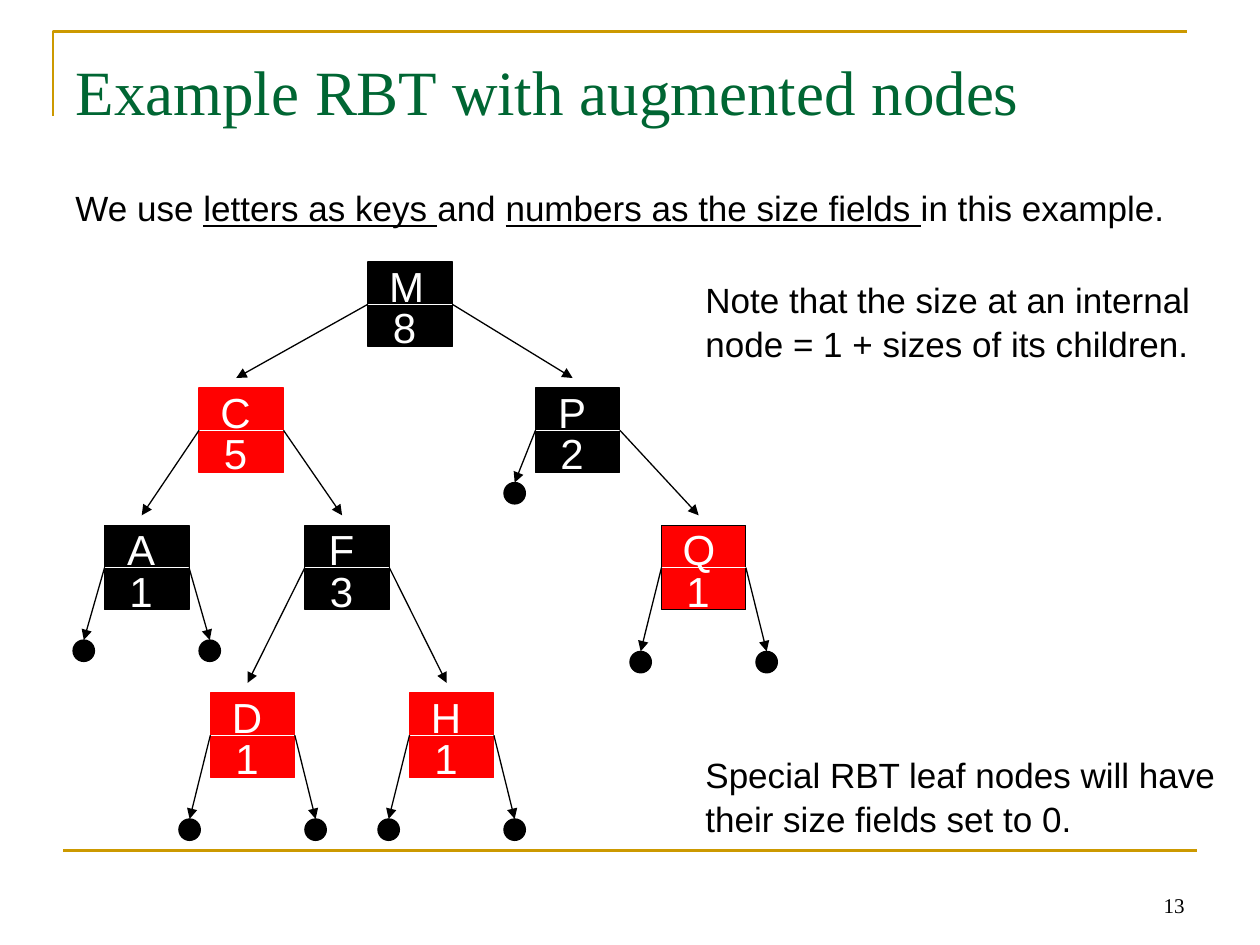
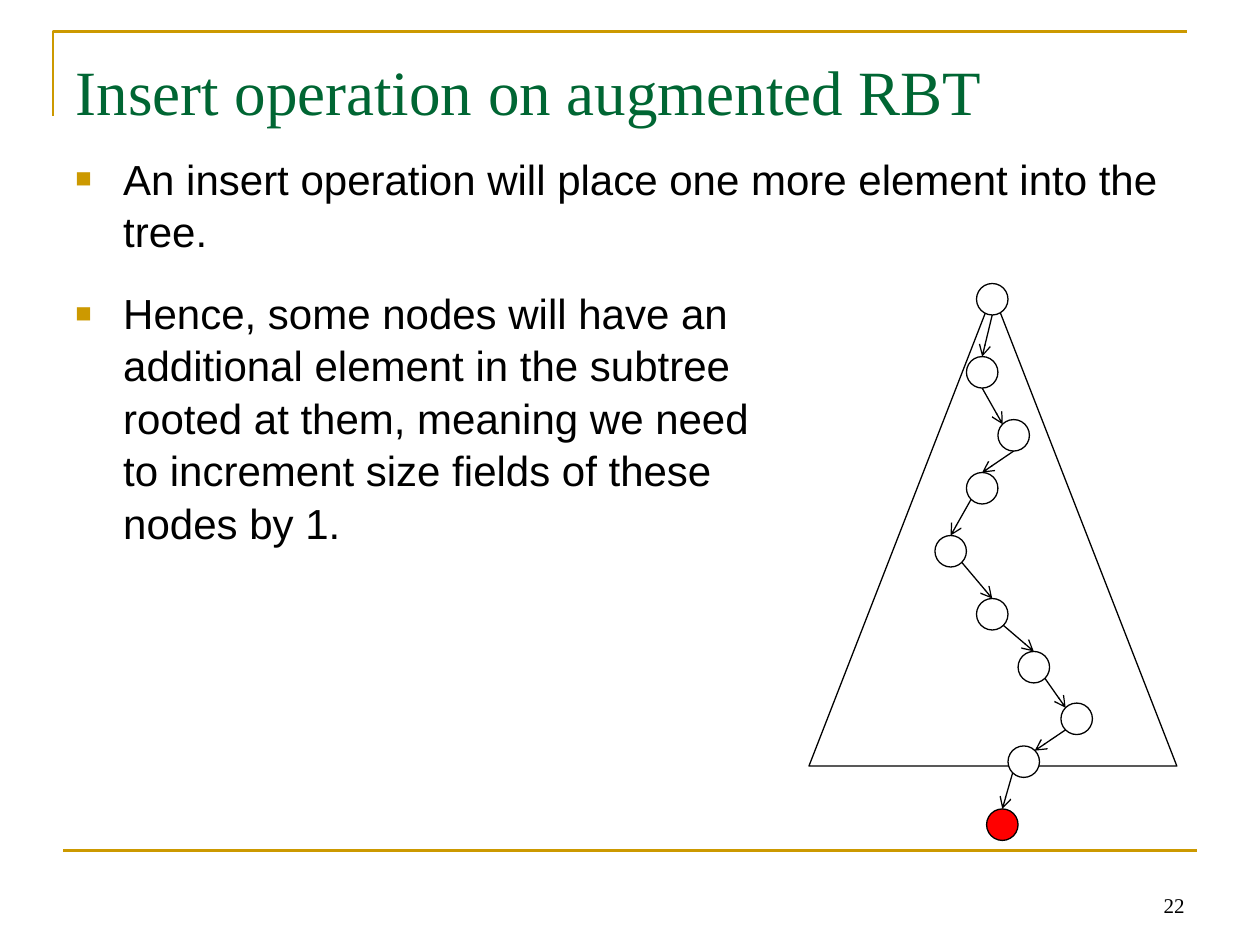
from dataclasses import dataclass
from itertools import pairwise

from lxml.etree import SubElement
from pptx import Presentation
from pptx.dml.color import RGBColor
from pptx.enum.shapes import MSO_CONNECTOR, MSO_SHAPE
from pptx.enum.text import MSO_ANCHOR, PP_ALIGN
from pptx.oxml.ns import qn
from pptx.util import Inches, Pt

GOLD, GREEN, BLACK, WHITE = "CC9900", "006633", "000000", "FFFFFF"
NODE_RED, NEW_RED = "FF0101", "FF0000"
BODY_FONT, TITLE_FONT = "Arial", "Times New Roman"
NODE_SIDE, LEAF_SIDE, STEP_SIDE = 0.67, 0.17, 0.25
LABEL_SHIFT = 0.04


@dataclass
class TreeNode:
    """A tree node with its size field and the keys of its children."""

    key: str
    size: int
    left: float
    top: float
    color: str
    children: tuple = (None, None)
    leaf_drop: float = 1
    border: str = ""

    @property
    def middle(self):
        """Return the height of the line between key and size."""
        return self.top + NODE_SIDE / 2

    @property
    def entry(self):
        """Return the point where the arrow from the parent ends."""
        return self.left + NODE_SIDE / 2 - LABEL_SHIFT, self.top - 0.08


TREE = [
    TreeNode("M", 8, 2.92, 2.08, BLACK, ("C", "P")),
    TreeNode("C", 5, 1.58, 3.08, NODE_RED, ("A", "F")),
    TreeNode("P", 2, 4.25, 3.08, BLACK, (None, "Q"), leaf_drop=0.75),
    TreeNode("A", 1, 0.83, 4.17, BLACK, leaf_drop=0.91),
    TreeNode("F", 3, 2.42, 4.17, BLACK, ("D", "H")),
    TreeNode("Q", 1, 5.25, 4.17, NODE_RED, border=BLACK),
    TreeNode("D", 1, 1.67, 5.5, NODE_RED),
    TreeNode("H", 1, 3.25, 5.5, NODE_RED),
]

STEPS = [
    (7.75, 2.25), (7.67, 2.83), (7.92, 3.33), (7.67, 3.75), (7.42, 4.25),
    (7.75, 4.75), (8.08, 5.17), (8.42, 5.58), (8, 5.92), (7.83, 6.42),
]
STEP_EDGES = [
    ("S", "N"), ("S", "NW"), ("S", "N"), ("SW", "N"), ("SE", "N"),
    ("SE", "N"), ("SE", "NW"), ("SW", "NE"), ("SW", "N"),
]
RIM = {"N": (0, -1), "S": (0, 1), "NW": (-0.7, -0.7), "NE": (0.7, -0.7),
       "SW": (-0.7, 0.7), "SE": (0.7, 0.7)}


def rgb(color):
    """Turn a hex string into a colour."""
    return RGBColor.from_string(color)


def add_bullet(paragraph):
    """Give a paragraph a gold square bullet with a hanging indent."""
    properties = paragraph._p.get_or_add_pPr()
    properties.set("marL", str(Inches(0.38)))
    properties.set("indent", str(Inches(-0.38)))
    bullet_color = SubElement(properties, qn("a:buClr"))
    SubElement(bullet_color, qn("a:srgbClr"), val=GOLD)
    SubElement(properties, qn("a:buSzPct"), val="65000")
    SubElement(properties, qn("a:buFont"), typeface=BODY_FONT)
    SubElement(properties, qn("a:buChar"), char="■")


def write_text(frame, *paragraphs, size=20, font=BODY_FONT, color=BLACK,
               align=PP_ALIGN.LEFT, anchor=MSO_ANCHOR.TOP, wrap=True,
               bullets=False, gap=0):
    """Fill a text frame; a paragraph is a string or (text, underlined) runs."""
    frame.word_wrap = wrap
    frame.vertical_anchor = anchor
    for index, content in enumerate(paragraphs):
        paragraph = frame.add_paragraph() if index else frame.paragraphs[0]
        paragraph.alignment = align
        paragraph.line_spacing = 1.04
        paragraph.space_before = Pt(gap if index else 0)
        if bullets:
            add_bullet(paragraph)
        paragraph.font.size = Pt(size)
        paragraph.font.name = font
        paragraph.font.color.rgb = rgb(color)
        if isinstance(content, str):
            paragraph.text = content
        else:
            for text, underlined in content:
                run = paragraph.add_run()
                run.text = text
                run.font.underline = underlined
        for run in paragraph.runs:
            run.font.size = Pt(size)
            run.font.name = font
            run.font.color.rgb = rgb(color)


def add_text(slide, left, top, width, height, *paragraphs, **text_format):
    """Add a text box with formatted paragraphs."""
    box = slide.shapes.add_textbox(
        Inches(left), Inches(top), Inches(width), Inches(height))
    write_text(box.text_frame, *paragraphs, **text_format)


def add_line(slide, start, end, color=BLACK, width=0.75, arrow=None):
    """Draw a straight line, with an arrowhead at its end if asked."""
    line = slide.shapes.add_connector(
        MSO_CONNECTOR.STRAIGHT, *(Inches(value) for value in (*start, *end)))
    line.line.color.rgb = rgb(color)
    line.line.width = Pt(width)
    if arrow:
        SubElement(line.line._get_or_add_ln(), qn("a:tailEnd"), type=arrow)
    SubElement(line._element.spPr, qn("a:effectLst"))


def style_outline(shape, fill, border, width=0.75):
    """Set fill and outline of a shape and take its shadow away."""
    shape.shadow.inherit = False
    if fill:
        shape.fill.solid()
        shape.fill.fore_color.rgb = rgb(fill)
    else:
        shape.fill.background()
    shape.line.color.rgb = rgb(border)
    shape.line.width = Pt(width)


def add_figure(slide, kind, left, top, width, height, fill=None, border=BLACK):
    """Add a preset shape."""
    figure = slide.shapes.add_shape(
        kind, Inches(left), Inches(top), Inches(width), Inches(height))
    style_outline(figure, fill, border)


def start_slide(deck, title, number):
    """Add a slide with the shared gold rules, title and page number."""
    slide = deck.slides.add_slide(deck.slide_layouts[5])
    builder = slide.shapes.build_freeform(Inches(0.42), Inches(0.92))
    corner = [(Inches(0.42), Inches(0.25)), (Inches(9.42), Inches(0.25))]
    builder.add_line_segments(corner, close=False)
    style_outline(builder.convert_to_shape(), None, GOLD, 1.5)
    add_line(slide, (0.5, 6.75), (9.5, 6.75), GOLD, 1.5)

    heading = slide.shapes.title
    heading.left, heading.top = Inches(0.5), Inches(0.3)
    heading.width, heading.height = Inches(9), Inches(1.25)
    heading.text_frame.margin_top = Inches(0.09)
    write_text(heading.text_frame, title, size=36, font=TITLE_FONT, color=GREEN)
    add_text(slide, 7.17, 6.83, 2.33, 0.5, str(number), size=12,
             font=TITLE_FONT, align=PP_ALIGN.RIGHT, anchor=MSO_ANCHOR.BOTTOM)
    return slide


def add_node(slide, node):
    """Draw a tree node with its key above its size."""
    add_figure(slide, MSO_SHAPE.RECTANGLE, node.left, node.top, NODE_SIDE,
               NODE_SIDE, node.color, node.border or node.color)
    for label, offset in ((node.key, -0.08), (str(node.size), 0.25)):
        add_text(slide, node.left + 0.07, node.top + offset, 0.44, 0.5, label,
                 size=24, color=WHITE, align=PP_ALIGN.CENTER, wrap=False)
    add_line(slide, (node.left, node.middle),
             (node.left + NODE_SIDE, node.middle), WHITE)


def add_branches(slide, node, nodes):
    """Draw the arrows from a node to its children or leaves."""
    for child, side, leaf_offset in zip(
            node.children, (0, NODE_SIDE), (-0.25, 0.75)):
        if child:
            target = nodes[child].entry
        else:
            leaf_left = node.left + leaf_offset
            leaf_top = node.top + node.leaf_drop
            add_figure(slide, MSO_SHAPE.OVAL, leaf_left, leaf_top,
                       LEAF_SIDE, LEAF_SIDE, BLACK)
            target = leaf_left + LEAF_SIDE / 2, leaf_top
        add_line(slide, (node.left + side, node.middle), target,
                 arrow="triangle")


def rim_point(step, direction):
    """Return the point on the rim of a step circle in a direction."""
    radius = STEP_SIDE / 2
    return tuple(corner + radius * (1 + shift)
                 for corner, shift in zip(step, RIM[direction]))


def add_insert_path(slide):
    """Draw the tree outline and the path down to the new node."""
    add_figure(slide, MSO_SHAPE.ISOSCELES_TRIANGLE, 6.42, 2.33, 2.92, 3.75)
    for step in STEPS:
        fill = NEW_RED if step == STEPS[-1] else WHITE
        add_figure(slide, MSO_SHAPE.OVAL, *step, STEP_SIDE, STEP_SIDE, fill)
    for (parent, child), (leave, enter) in zip(pairwise(STEPS), STEP_EDGES):
        add_line(slide, rim_point(parent, leave), rim_point(child, enter),
                 arrow="arrow")


def build_example_slide(deck):
    """Build the slide with the example tree."""
    slide = start_slide(deck, "Example RBT with augmented nodes", 13)
    nodes = {node.key: node for node in TREE}
    for node in TREE:
        add_node(slide, node)
    for node in TREE:
        add_branches(slide, node, nodes)
    add_text(slide, 0.5, 1.42, 9.08, 0.44, [
        ("We use ", False), ("letters as keys ", True), ("and ", False),
        ("numbers as the size fields ", True), ("in this example.", False)])
    add_text(slide, 5.5, 2.15, 4.25, 0.77,
             "Note that the size at an internal",
             "node = 1 + sizes of its children.")
    add_text(slide, 5.5, 5.92, 4.25, 0.77,
             "Special RBT leaf nodes will have their size fields set to 0.")


def build_insert_slide(deck):
    """Build the slide about the insert operation."""
    slide = start_slide(deck, "Insert operation on augmented RBT", 22)
    reason = "\v".join([
        "Hence, some nodes will have an",
        "additional element in the subtree",
        "rooted at them, meaning we need",
        "to increment size fields of these",
        "nodes by 1."])
    add_text(slide, 0.5, 1.15, 9, 2.54,
             "An insert operation will place one more element into the tree.",
             reason, size=24, bullets=True, gap=17)
    add_insert_path(slide)


def main():
    """Build and save the deck."""
    deck = Presentation()
    deck.slide_width, deck.slide_height = Inches(10), Inches(7.5)
    build_example_slide(deck)
    build_insert_slide(deck)
    deck.save("out.pptx")


if __name__ == "__main__":
    main()
